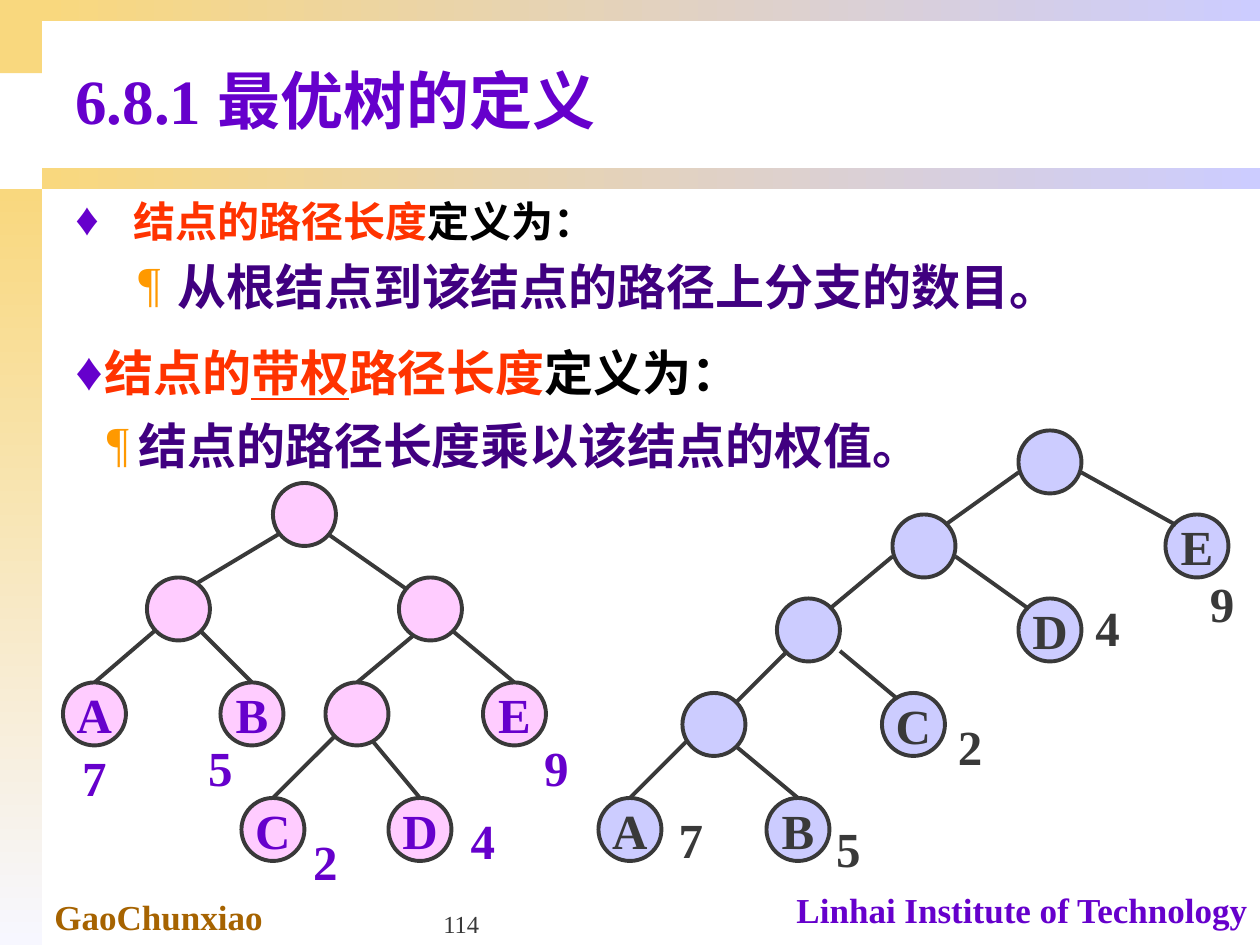
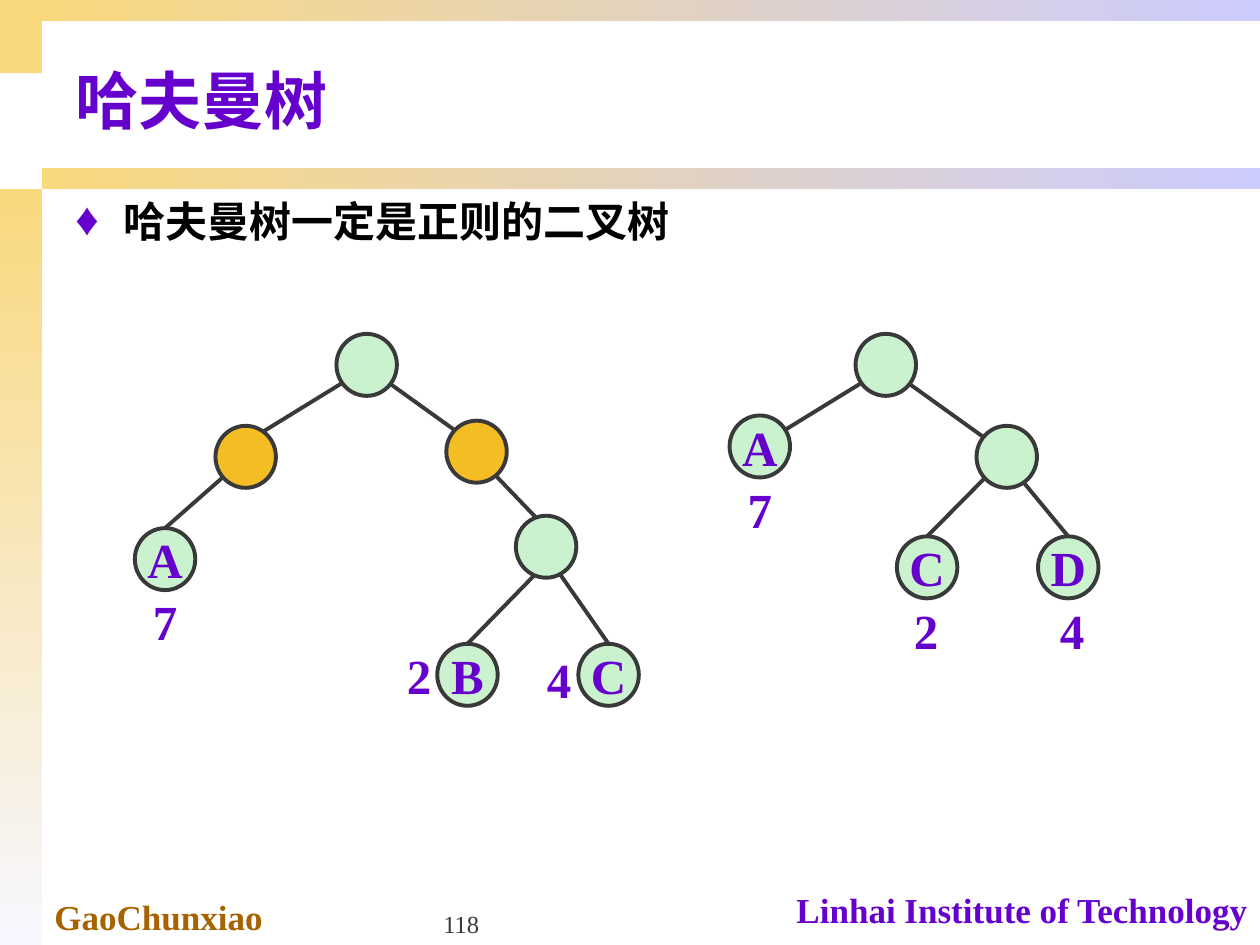
from lxml.etree import SubElement
from pptx import Presentation
from pptx.dml.color import RGBColor
from pptx.enum.shapes import MSO_CONNECTOR, MSO_SHAPE
from pptx.enum.text import MSO_ANCHOR, PP_ALIGN
from pptx.oxml.ns import qn
from pptx.util import Inches, Pt

WIDTH, HEIGHT = 10, 7.5
FONT = "Times New Roman"
COLORS = {
    "gold": "F9D87E", "pale": "F7F7FF", "lilac": "CCCCFF", "purple": "6600CC",
    "brown": "A66300", "ink": "393939", "black": "000000", "red": "FF3300",
    "indigo": "400080", "orange": "FF9900", "pink": "FFCCFF",
    "mint": "CAF2CE", "amber": "F5BD24",
}
MARGIN = WIDTH / 30
BAND = HEIGHT / 45
HEADER = HEIGHT / 5
BANDS = [
    ((0, 0, MARGIN, 0.58), "gold", "gold", 0),
    ((0, HEADER, MARGIN, HEIGHT - HEADER), "gold", "pale", 270),
    ((MARGIN, HEADER - BAND, WIDTH - MARGIN, BAND), "gold", "lilac", 0),
    ((MARGIN, 0, WIDTH - MARGIN, BAND), "gold", "lilac", 0),
]
AUTHOR = "GaoChunxiao"
SCHOOL = "Linhai Institute of Technology"
BODY_BOX = (0.5, 1.5, 9.5, 5.42)
BULLETS = {"♦": ("purple", 110), "¶": ("orange", 100)}
NODE_CELLS = 6

SLIDES = [
    {
        "title": "6.8.1 最优树的定义",
        "number": "114",
        "texts": [
            (BODY_BOX, [
                ("♦", 0.46, 0.46, 24, 0,
                 [("结点的路径长度", "red"), ("定义为：", "black")]),
                ("¶", 0.81, 0.31, 28, 6,
                 [("从根结点到该结点的路径上分支的数目。", "indigo")]),
            ]),
            ((0.5, 2.67, 8.92, 1.18), [
                ("♦", 0.23, 0.23, 28, 0,
                 [("结点的", "red"), ("带权", "red", True),
                  ("路径长度", "red"), ("定义为：", "black")]),
                ("¶", 0.5, 0.25, 28, 8,
                 [("结点的路径长度乘以该结点的权值。", "indigo")]),
            ]),
        ],
        "trees": [
            {
                "origin": (0, 0), "cell": (1 / 12, 1 / 12),
                "fill": "pink", "ink": "purple",
                "behind": [("C", 23, 76), ("E", 46, 65), ("D", 37, 76),
                           ("A", 6, 65), ("B", 21, 65)],
                "edges": [(28, 50, 18, 56), (30, 50, 40, 57), (40, 60, 34, 65),
                          (43, 60, 49, 65), (33, 69, 26, 76), (35, 70, 40, 76),
                          (16, 59, 9, 65), (18, 59, 24, 65)],
                "front": [("", 14, 55), ("", 38, 55), ("", 31, 65), ("", 26, 46)],
                "weights": [("7", 6, 71), ("5", 18, 70), ("2", 28, 79),
                            ("4", 43, 77), ("9", 50, 70)],
            },
            {
                "origin": (0, 0), "cell": (1 / 12, 1 / 12),
                "fill": "lilac", "ink": "ink",
                "behind": [("", 97, 41), ("", 85, 49), ("E", 111, 49),
                           ("", 74, 57), ("D", 97, 57), ("A", 57, 76)],
                "edges": [(103, 45, 112, 50), (97, 45, 90, 50), (91, 53, 98, 58),
                          (85, 53, 79, 58), (66, 70, 60, 76), (70, 71, 76, 76),
                          (80, 62, 86, 67), (75, 62, 70, 67)],
                "front": [("B", 73, 76), ("C", 84, 66), ("", 65, 66)],
                "weights": [("7", 62.8, 76.9), ("5", 77.8, 77.8), ("2", 89.4, 68),
                            ("4", 102.5, 56.7), ("9", 113.4, 54.4)],
            },
        ],
    },
    {
        "title": "哈夫曼树",
        "number": "118",
        "texts": [
            (BODY_BOX, [("♦", 0.38, 0.38, 24, 0,
                         [("哈夫曼树一定是正则的二叉树", "black")])]),
        ],
        "trees": [
            {
                "origin": (5.79, 2.65), "cell": (0.08, 0.082),
                "fill": "mint", "ink": "purple",
                "behind": [("C", 16.6, 19.6), ("D", 30.6, 19.6)],
                "edges": [(14.5, 3.9, 4.5, 9.9), (16.5, 3.9, 26.5, 10.9),
                          (26.6, 12.7, 19.6, 19.6), (28.6, 13.7, 33.6, 19.6)],
                "front": [("A", 0, 7.9), ("", 24.5, 8.9), ("", 12.5, 0)],
                "weights": [("7", 0, 13.9), ("2", 16.5, 25.7), ("4", 31, 25.7)],
            },
            {
                "origin": (1.07, 2.65), "cell": (0.08, 0.082),
                "fill": "mint", "ink": "purple",
                "behind": [("B", 30, 30), ("C", 44, 30), ("A", 0, 18.8)],
                "edges": [(22, 3.9, 12, 9.9), (24, 3.9, 34, 10.9),
                          (34.9, 12.8, 41, 19), (40, 23, 33, 30),
                          (42, 23, 47, 30), (10, 12.8, 3, 18.8)],
                "front": [("", 8, 8.9, "amber"), ("", 37.8, 17.6),
                          ("", 30.9, 8.4, "amber"), ("", 20, 0)],
                "weights": [("7", 0, 24.8), ("2", 25.2, 30), ("4", 39.1, 30.4)],
            },
        ],
    },
]


def rgb(name):
    return RGBColor.from_string(COLORS[name])


def style(paragraph, size, color=None, bold=True, align=PP_ALIGN.LEFT):
    paragraph.alignment = align
    paragraph.font.name = FONT
    paragraph.font.size = Pt(size)
    paragraph.font.bold = bold
    if color:
        paragraph.font.color.rgb = rgb(color)


def add_text_frame(slide, box, anchor=MSO_ANCHOR.TOP):
    frame = slide.shapes.add_textbox(*map(Inches, box)).text_frame
    frame.word_wrap = True
    frame.vertical_anchor = anchor
    return frame


def add_label(slide, box, words, size, color, anchor=MSO_ANCHOR.TOP, **look):
    frame = add_text_frame(slide, box, anchor)
    frame.text = words
    style(frame.paragraphs[0], size, color, **look)


def add_bands(slide):
    for box, start, end, angle in BANDS:
        band = slide.shapes.add_shape(MSO_SHAPE.RECTANGLE, *map(Inches, box))
        band.shadow.inherit = False
        band.line.fill.background()
        if start == end:
            band.fill.solid()
            band.fill.fore_color.rgb = rgb(start)
            continue
        band.fill.gradient()
        band.fill.gradient_angle = angle
        for stop, color in zip(band.fill.gradient_stops, (start, end)):
            stop.color.rgb = rgb(color)


def set_bullet(paragraph, bullet, left, hanging):
    color, percent = BULLETS[bullet]
    properties = paragraph._p.get_or_add_pPr()
    properties.set("marL", str(Inches(left)))
    properties.set("indent", str(-Inches(hanging)))
    tint = SubElement(properties, qn("a:buClr"))
    SubElement(tint, qn("a:srgbClr"), val=COLORS[color])
    SubElement(properties, qn("a:buSzPct"), val=str(percent * 1000))
    SubElement(properties, qn("a:buFont"), typeface=FONT)
    SubElement(properties, qn("a:buChar"), char=bullet)


def add_definitions(slide, box, definitions):
    frame = add_text_frame(slide, box)
    for index, (bullet, left, hanging, size, before, runs) in enumerate(definitions):
        paragraph = frame.add_paragraph() if index else frame.paragraphs[0]
        set_bullet(paragraph, bullet, left, hanging)
        style(paragraph, size)
        paragraph.space_before = Pt(before)
        for words, color, *underline in runs:
            run = paragraph.add_run()
            run.text = words
            run.font.color.rgb = rgb(color)
            if underline:
                run.font.underline = True


def add_tree(slide, tree):
    def place(column, row):
        return [Inches(start + count * step) for start, count, step
                in zip(tree["origin"], (column, row), tree["cell"])]

    diameters = [Inches(NODE_CELLS * step) for step in tree["cell"]]

    def add_circle(label, column, row, fill=None):
        circle = slide.shapes.add_shape(MSO_SHAPE.OVAL, *place(column, row), *diameters)
        circle.shadow.inherit = False
        if fill:
            circle.fill.solid()
            circle.fill.fore_color.rgb = rgb(fill)
            circle.line.color.rgb = rgb("ink")
            circle.line.width = Pt(2.25)
        else:
            circle.fill.background()
            circle.line.fill.background()
        if label:
            frame = circle.text_frame
            frame.word_wrap = False
            frame.vertical_anchor = MSO_ANCHOR.MIDDLE
            frame.text = label
            style(frame.paragraphs[0], 28, tree["ink"], align=PP_ALIGN.CENTER)

    def add_nodes(nodes):
        for label, column, row, *fill in nodes:
            add_circle(label, column, row, fill[0] if fill else tree["fill"])

    add_nodes(tree["behind"])
    for x1, y1, x2, y2 in tree["edges"]:
        edge = slide.shapes.add_connector(
            MSO_CONNECTOR.STRAIGHT, *place(x1, y1), *place(x2, y2))
        edge.line.color.rgb = rgb("ink")
        edge.line.width = Pt(2.25)
        SubElement(edge._element.spPr, qn("a:effectLst"))
    add_nodes(tree["front"])
    for weight in tree["weights"]:
        add_circle(*weight)


def main():
    """Build the two slides on optimal trees and Huffman trees."""
    deck = Presentation()
    deck.slide_width, deck.slide_height = Inches(WIDTH), Inches(HEIGHT)
    for content in SLIDES:
        slide = deck.slides.add_slide(deck.slide_layouts[6])
        add_bands(slide)
        add_label(slide, (MARGIN, 7.06, 3.5, 0.44), AUTHOR, 20, "brown")
        add_label(slide, (6.08, 7, 3.92, 0.43), SCHOOL, 20, "purple",
                  align=PP_ALIGN.RIGHT)
        add_label(slide, (3.42, 7, 2.08, 0.5), content["number"], 14, "ink",
                  MSO_ANCHOR.BOTTOM, bold=False)
        add_label(slide, (0.5, 0.25, 9.5, 1.07), content["title"], 36, "purple",
                  MSO_ANCHOR.MIDDLE)
        for box, definitions in content["texts"]:
            add_definitions(slide, box, definitions)
        for tree in content["trees"]:
            add_tree(slide, tree)
    deck.save("out.pptx")


if __name__ == "__main__":
    main()
